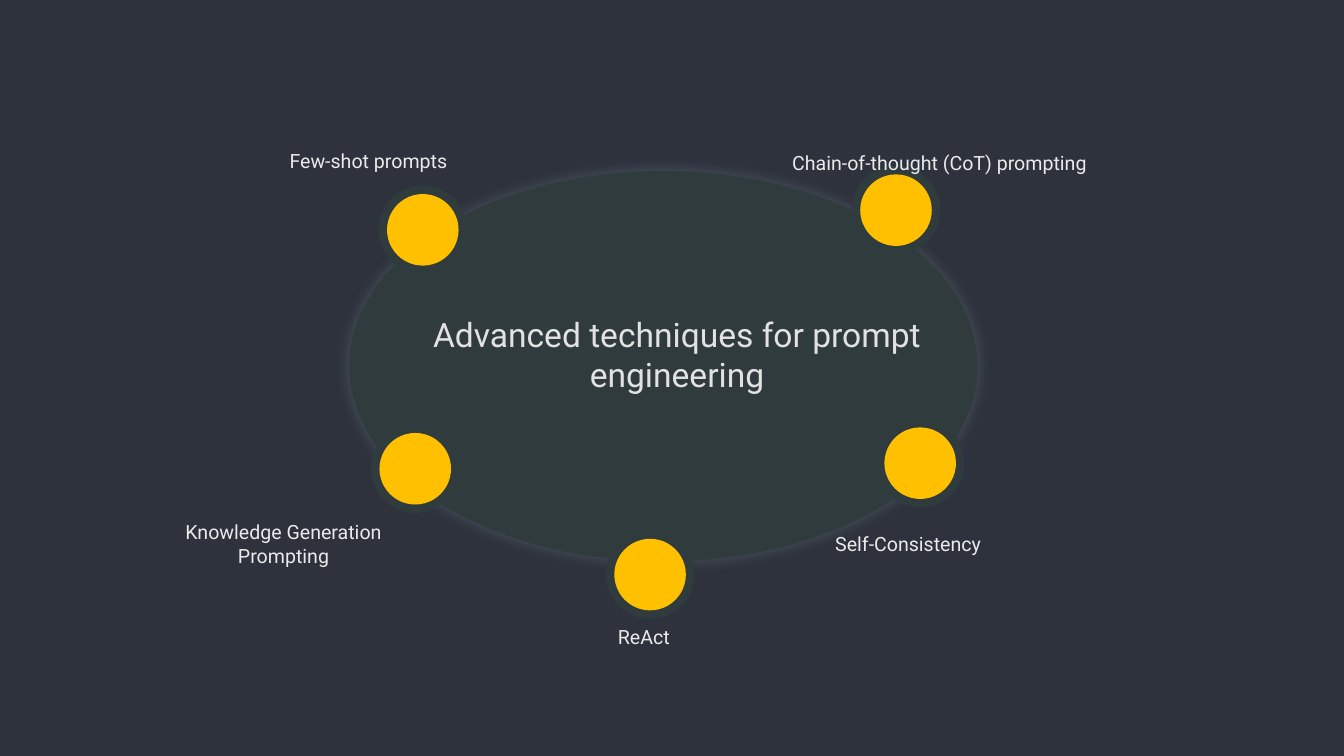
import pptx
import pptx.util
import pptx.dml.color
import pptx.enum.shapes
import pptx.enum.text
import pptx.oxml
import pptx.oxml.ns
from dataclasses import dataclass

PX = 9144  # EMU in one px, 100 px to the inch


@dataclass(frozen=True)
class Theme:
    back: str = "2D323D"
    disc: str = "303B3E"
    dot: str = "FFC000"
    glow: str = "DCEAF0"
    title: str = "E2E2E2"
    label: str = "E9EAEA"
    font: str = "Roboto"
    big: int = 48
    small: int = 28


THEME = Theme()
DOT, RIM = 142, 17

# Label, dot left and top, label box; all measured from the disc's corner
NODES = [
    ("Self-Consistency", (1062, 509), (939, 705, 340, 70)),
    ("Chain-of-thought (CoT) prompting", (1014, 7), (863, -53, 616, 72)),
    ("Knowledge Generation Prompting", (60, 520), (-343, 706, 425, 67)),
    ("Few-shot prompts", (75, 46), (-159, -56, 394, 72)),
    ("ReAct", (526, 730), (528, 889, 113, 72)),
]


def color(code):
    return pptx.dml.color.RGBColor.from_string(code)


def emu(box):
    return [pptx.util.Emu(n * PX) for n in box]


def shift(box, part):
    """Place a part relative to the corner of a box."""
    return (box[0] + part[0], box[1] + part[1], *part[2:])


def oval(slide, box, fill):
    kind = pptx.enum.shapes.MSO_SHAPE.OVAL
    shape = slide.shapes.add_shape(kind, *emu(box))
    shape.shadow.inherit = False
    shape.fill.solid()
    shape.fill.fore_color.rgb = color(fill)
    shape.line.fill.background()
    return shape


def glow(shape, blur, alpha):
    """Put a soft, centred shadow around a shape."""
    space = pptx.oxml.ns.nsdecls("a")
    xml = (f'<a:outerShdw {space} blurRad="{pptx.util.Pt(blur)}" dist="0" dir="0" '
           f'algn="ctr" rotWithShape="0"><a:srgbClr val="{THEME.glow}">'
           f'<a:alpha val="{alpha * 1000}"/></a:srgbClr></a:outerShdw>')
    effects = shape._element.spPr.find(pptx.oxml.ns.qn("a:effectLst"))
    effects.append(pptx.oxml.parse_xml(xml))


def text(slide, box, words, size, tint):
    frame = slide.shapes.add_textbox(*emu(box)).text_frame
    form = {
        "word_wrap": True,
        "vertical_anchor": pptx.enum.text.MSO_ANCHOR.MIDDLE,
        "margin_left": 0, "margin_right": 0,
        "margin_top": 0, "margin_bottom": 0,
    }
    for name, value in form.items():
        setattr(frame, name, value)
    para = frame.paragraphs[0]
    para.alignment = pptx.enum.text.PP_ALIGN.CENTER
    run = para.add_run()
    run.text = words
    for name, value in {"name": THEME.font, "size": pptx.util.Pt(size)}.items():
        setattr(run.font, name, value)
    run.font.color.rgb = color(tint)


def hub(slide, box):
    """Central disc with its glow."""
    glow(oval(slide, box, THEME.disc), blur=21, alpha=18)


def ring(slide, box):
    """Rimmed dots around the disc, each with a label."""
    rim = DOT + 2 * RIM
    for words, (left, top), label in NODES:
        oval(slide, shift(box, (left - RIM, top - RIM, rim, rim)), THEME.disc)
        oval(slide, shift(box, (left, top, DOT, DOT)), THEME.dot)
        text(slide, shift(box, label), words, THEME.small, THEME.label)


def head(slide, box):
    """Title inside the disc."""
    text(slide, shift(box, (126, 260, 1049, 208)),
         "Advanced techniques for prompt engineering", THEME.big, THEME.title)


def main():
    deck = pptx.Presentation()
    deck.slide_width, deck.slide_height = emu((2667, 1500))
    slide = deck.slides.add_slide(deck.slide_layouts[6])
    slide.background.fill.solid()
    slide.background.fill.fore_color.rgb = color(THEME.back)
    disc = (693, 339, 1247, 775)
    for part in (hub, ring, head):
        part(slide, disc)
    deck.save("out.pptx")


if __name__ == "__main__":
    main()
